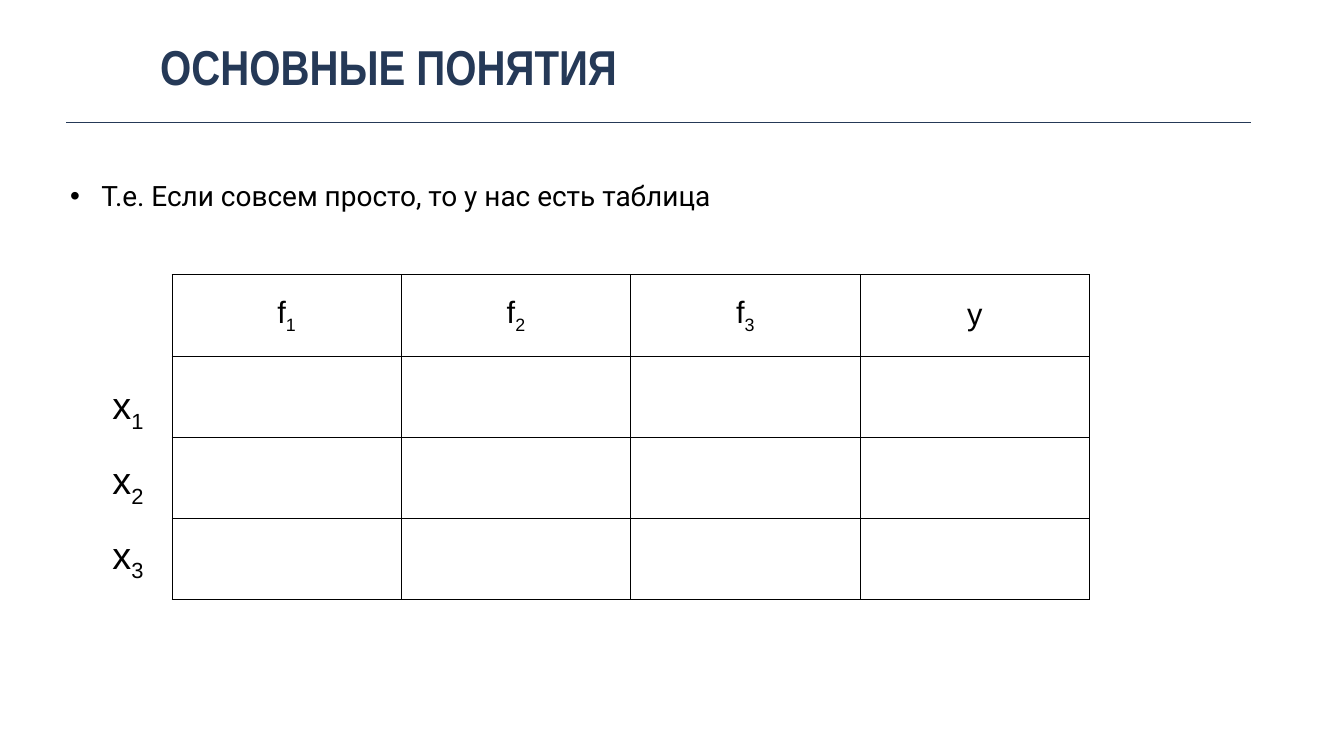
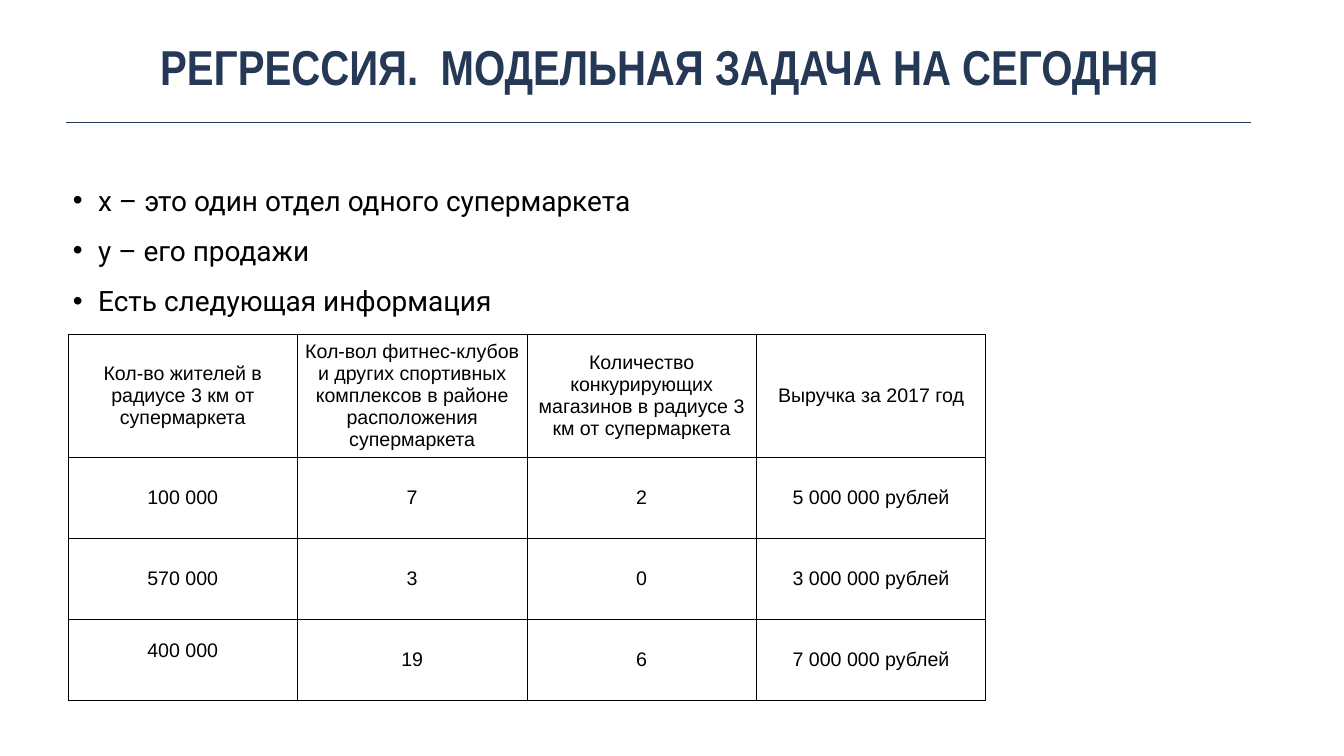
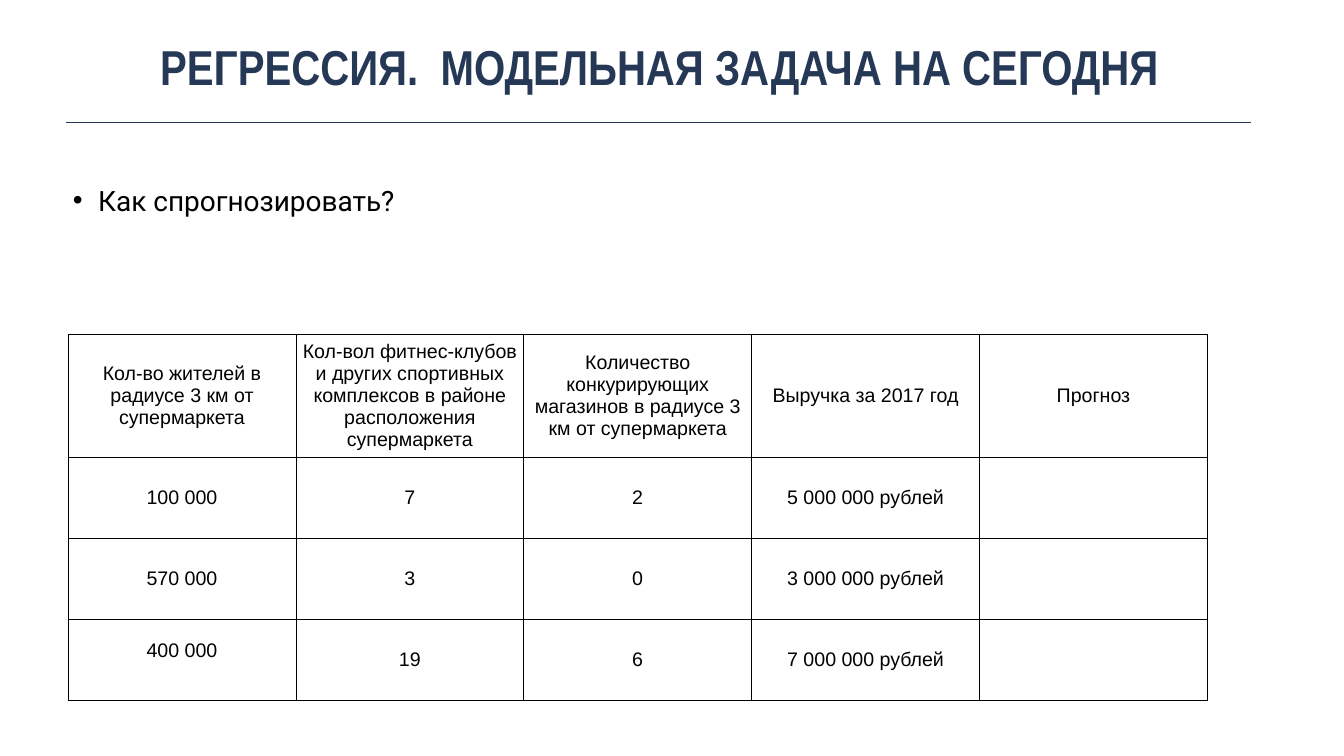
import pptx
import pptx.dml.color
import pptx.enum.shapes
import pptx.enum.text
import pptx.oxml
import pptx.oxml.ns
import pptx.util
from lxml import etree

Inches = pptx.util.Inches
Pt = pptx.util.Pt
ALIGN = pptx.enum.text.PP_ALIGN
ANCHOR = pptx.enum.text.MSO_ANCHOR
AUTO_SIZE = pptx.enum.text.MSO_AUTO_SIZE
qn = pptx.oxml.ns.qn

NAVY = "253957"
BLACK = "000000"
ROW_HEIGHT = 1.61
REGRESSION_TITLE = "РЕГРЕССИЯ.  МОДЕЛЬНАЯ ЗАДАЧА НА СЕГОДНЯ"
STORES = [
    ["Кол-во жителей в радиусе 3 км от супермаркета",
     "Кол-вол фитнес-клубов и других спортивных комплексов в районе расположения супермаркета",
     "Количество конкурирующих магазинов в радиусе 3 км от супермаркета",
     "Выручка за 2017 год"],
    ["100 000", "7", "2", "5 000 000 рублей"],
    ["570 000", "3", "0", "3 000 000 рублей"],
    ["400 000", "19", "6", "7 000 000 рублей"],
]


def rgb(hex_color):
    return pptx.dml.color.RGBColor.from_string(hex_color)


class Deck:
    def __init__(self):
        self.prs = pptx.Presentation()
        self.prs.slide_width = Inches(26.67)
        self.prs.slide_height = Inches(15)
        self.slide = None

    def style(self, paragraph, size, font="Arial", color=BLACK, bold=False):
        paragraph.font.size = Pt(size)
        paragraph.font.name = font
        paragraph.font.bold = bold
        paragraph.font.color.rgb = rgb(color)

    def add_slide(self, title, title_width):
        """Start a slide with its title and the rule below it."""
        self.slide = self.prs.slides.add_slide(self.prs.slide_layouts[5])
        heading = self.slide.shapes.title
        heading.left, heading.top = Inches(3.1), Inches(0.63)
        heading.width, heading.height = Inches(title_width), Inches(1.34)
        frame = heading.text_frame
        frame.text = title
        frame.auto_size = AUTO_SIZE.NONE
        frame.vertical_anchor = ANCHOR.MIDDLE
        self.set_insets(frame, 0.08)
        frame.paragraphs[0].alignment = ALIGN.LEFT
        self.style(frame.paragraphs[0], 70, "Arial Narrow", NAVY, True)

        rule = self.slide.shapes.add_connector(
            pptx.enum.shapes.MSO_CONNECTOR.STRAIGHT,
            Inches(1.31), Inches(2.42), Inches(24.83), Inches(2.42))
        rule.line.color.rgb = rgb(NAVY)
        rule.line.width = Pt(1)
        etree.SubElement(rule._element.spPr, qn("a:effectLst"))

    def set_insets(self, frame, inset):
        frame.margin_left = frame.margin_right = Inches(inset)
        frame.margin_top = frame.margin_bottom = Inches(inset)

    def text_frame(self, left, top, width, height):
        box = self.slide.shapes.add_textbox(
            Inches(left), Inches(top), Inches(width), Inches(height))
        box.text_frame.word_wrap = True
        return box.text_frame

    def bullets(self, frame, lines, indent, spacing):
        frame.text = "\n".join(lines)
        for paragraph in frame.paragraphs:
            props = paragraph._p.get_or_add_pPr()
            props.set("marL", str(Inches(indent)))
            props.set("indent", str(-Inches(indent)))
            etree.SubElement(props, qn("a:buFont"), typeface="Arial")
            etree.SubElement(props, qn("a:buChar"), char="•")
            paragraph.line_spacing = spacing
            self.style(paragraph, 40, "Roboto")

    def task_bullets(self, height, *lines):
        frame = self.text_frame(1.35, 3.25, 23.49, height)
        frame.auto_size = AUTO_SIZE.SHAPE_TO_FIT_TEXT
        self.bullets(frame, lines, 0.5, 1.5)

    def symbol(self, paragraph, text, size):
        """Write centred text; what follows an underscore is a subscript."""
        base, _, index = text.partition("_")
        paragraph.alignment = ALIGN.CENTER
        self.style(paragraph, size)
        paragraph.add_run().text = base
        if index:
            subscript = paragraph.add_run()
            subscript.text = index
            subscript._r.get_or_add_rPr().set("baseline", "-25000")

    def row_label(self, text, top):
        frame = self.text_frame(2.11, top, 0.86, 1.01)
        frame.word_wrap = False
        frame.auto_size = AUTO_SIZE.SHAPE_TO_FIT_TEXT
        self.symbol(frame.paragraphs[0], text, 54)

    def border(self, cell):
        props = cell._tc.get_or_add_tcPr()
        for side in ("lnL", "lnR", "lnT", "lnB"):
            line = etree.SubElement(props, qn(f"a:{side}"), w=str(Pt(1)))
            fill = etree.SubElement(line, qn("a:solidFill"))
            etree.SubElement(fill, qn("a:srgbClr"), val=BLACK)

    def table(self, left, top, width, rows, size, header_height=ROW_HEIGHT):
        heights = [header_height] + [ROW_HEIGHT] * (len(rows) - 1)
        table = self.slide.shapes.add_table(
            len(rows), len(rows[0]), Inches(left), Inches(top),
            Inches(width), Inches(sum(heights))).table
        table.first_row = table.horz_banding = False
        for column in table.columns:
            column.width = Inches(width / len(rows[0]))
        for r, (texts, height) in enumerate(zip(rows, heights)):
            table.rows[r].height = Inches(height)
            for c, text in enumerate(texts):
                cell = table.cell(r, c)
                self.border(cell)
                cell.fill.background()
                cell.vertical_anchor = ANCHOR.MIDDLE
                if text:
                    self.symbol(cell.text_frame.paragraphs[0], text, size)
        return table

    def store_table(self, width, rows):
        table = self.table(1.35, 6.63, width, rows, 28, header_height=2.44)
        table.cell(3, 0).margin_bottom = Inches(0.41)


def main():
    deck = Deck()

    deck.add_slide("ОСНОВНЫЕ ПОНЯТИЯ", 17.58)
    deck.table(3.41, 5.45, 18.21, [["f_1", "f_2", "f_3", "y"]] + [[""] * 4] * 3, 44)
    for i in range(3):
        deck.row_label(f"x_{i + 1}", 7.53 + i * 1.485)
    intro = deck.text_frame(1.31, 2.89, 23.52, 1.85)
    deck.set_insets(intro, 0.08)
    intro.margin_top = Inches(0.73)
    deck.bullets(intro, ["Т.е. Если совсем просто, то у нас есть таблица"], 0.62, 1.0)

    deck.add_slide(REGRESSION_TITLE, 22.92)
    deck.task_bullets(3.13, "x – это один отдел одного супермаркета",
                      "y – его продажи", "Есть следующая информация")
    deck.store_table(18.21, STORES)

    deck.add_slide(REGRESSION_TITLE, 22.92)
    deck.task_bullets(0.98, "Как спрогнозировать?")
    forecast = ["Прогноз", "", "", ""]
    deck.store_table(22.61, [row + [cell] for row, cell in zip(STORES, forecast)])

    deck.prs.save("out.pptx")


if __name__ == "__main__":
    main()
